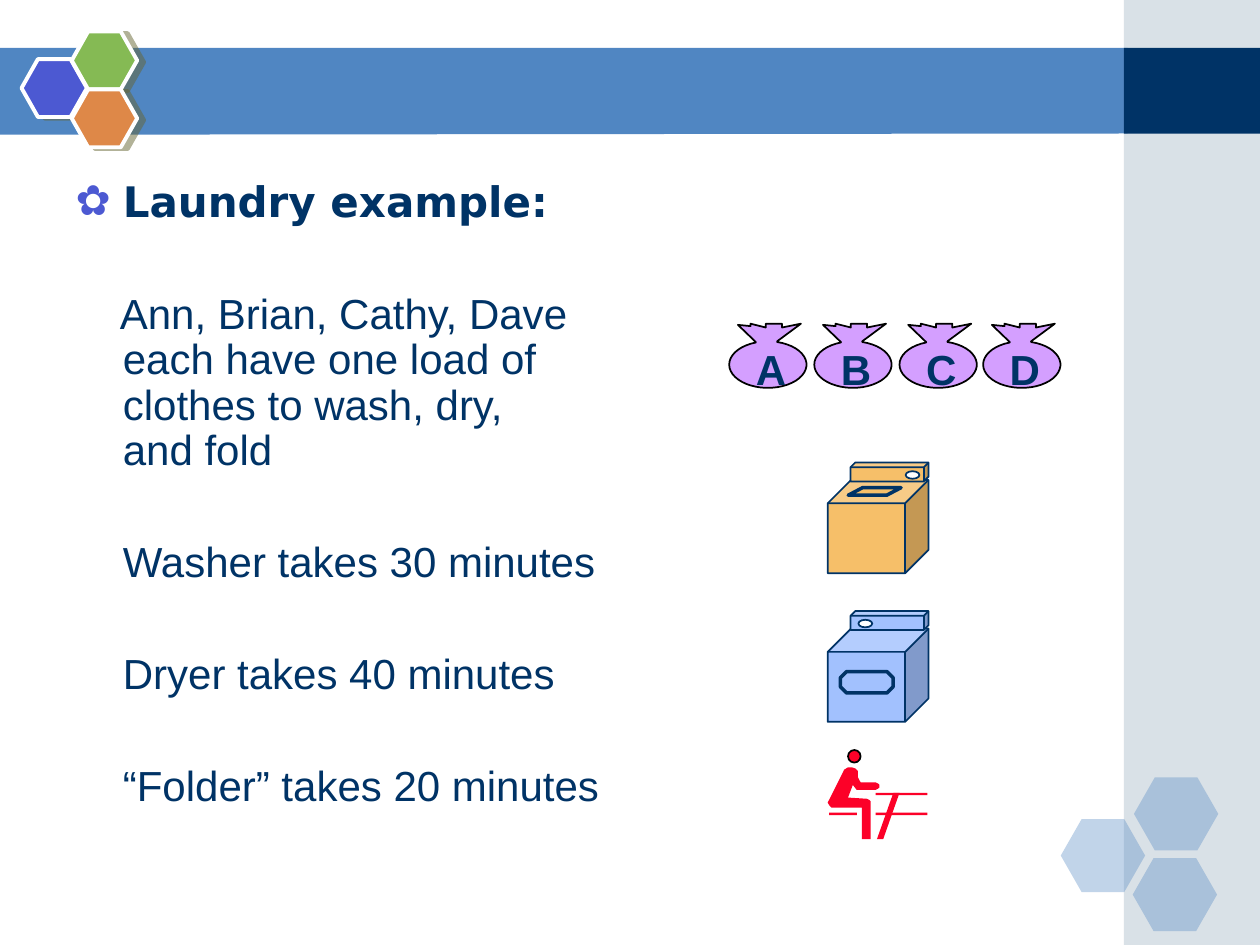
from math import cos, radians, sin

from lxml.etree import SubElement
from pptx import Presentation
from pptx.dml.color import RGBColor
from pptx.enum.shapes import MSO_SHAPE as Preset
from pptx.enum.text import MSO_ANCHOR as Anchor, MSO_AUTO_SIZE as AutoSize, PP_ALIGN as Align
from pptx.oxml.ns import qn
from pptx.util import Pt

NAVY, BLUE, RED, LILAC, BLACK, WHITE = "003366", "5086C2", "FC0128", "D49FFF", "000000", "FFFFFF"


def color(value):
    return RGBColor.from_string(value)


class LaundrySlide:
    """Holds the text style and draws each kind of element on one slide."""

    font, size, ink = "Arial", 24, NAVY

    def __init__(self, deck):
        self.slide = deck.slides.add_slide(deck.slide_layouts[1])
        title = self.slide.shapes.title.element
        title.getparent().remove(title)

    def paint(self, shape, fill, line=None, width=1, alpha=None):
        shape.shadow.inherit = False
        shape.fill.solid()
        shape.fill.fore_color.rgb = color(fill)
        if alpha:
            tint = shape.element.spPr.find(qn("a:solidFill"))[0]
            SubElement(tint, qn("a:alpha"), val=str(alpha * 1000))
        if line:
            shape.line.color.rgb = color(line)
            shape.line.width = Pt(width)
        else:
            shape.line.fill.background()
        return shape

    def preset(self, kind, box, fill, line=None, width=1, alpha=None, adjust=None):
        shape = self.slide.shapes.add_shape(kind, *map(Pt, box))
        if adjust is not None:
            shape.adjustments[0] = adjust
        return self.paint(shape, fill, line, width, alpha)

    def outline(self, points, fill, line=None):
        corners = [(Pt(x), Pt(y)) for x, y in points]
        builder = self.slide.shapes.build_freeform(*corners[0], scale=1.0)
        builder.add_line_segments(corners[1:], close=True)
        return self.paint(builder.convert_to_shape(), fill, line)

    def cast_shadow(self, shape):
        effects = shape.element.spPr.find(qn("a:effectLst"))
        shadow = SubElement(effects, qn("a:outerShdw"), blurRad="0", dist=str(Pt(4.1)),
                            dir=str(14 * 60000), algn="ctr", rotWithShape="0")
        tint = SubElement(shadow, qn("a:srgbClr"), val="666633")
        SubElement(tint, qn("a:alpha"), val="50000")

    def run(self, paragraph, text, font=None, bold=False):
        run = paragraph.add_run()
        run.text = text
        run.font.name = font or self.font
        run.font.size = Pt(self.size)
        run.font.bold = bold
        run.font.color.rgb = color(self.ink)

    def letter(self, text, box):
        label = self.slide.shapes.add_textbox(*map(Pt, box)).text_frame
        label.word_wrap = False
        label.paragraphs[0].alignment = Align.CENTER
        self.run(label.paragraphs[0], text, bold=True)

    def body(self, box, heading, statements):
        holder = self.slide.placeholders[1]
        holder.left, holder.top, holder.width, holder.height = map(Pt, box)
        frame = holder.text_frame
        frame.auto_size = AutoSize.NONE
        frame.vertical_anchor = Anchor.TOP
        first = frame.paragraphs[0]
        self.format(first, -27, 0, bullet="✿")
        self.run(first, heading, font="DejaVu Sans", bold=True)
        for lines, indent in statements:
            paragraph = frame.add_paragraph()
            self.format(paragraph, indent, 38)
            for number, line in enumerate(lines):
                if number:
                    paragraph.add_line_break()
                self.run(paragraph, line)

    def format(self, paragraph, indent, before, bullet=None):
        paragraph.line_spacing = 0.9
        paragraph.space_before = Pt(before)
        props = paragraph._p.get_or_add_pPr()
        props.set("marL", str(Pt(27)))
        props.set("indent", str(Pt(indent)))
        if bullet:
            SubElement(SubElement(props, qn("a:buClr")), qn("a:srgbClr"), val="4C59D2")
            SubElement(props, qn("a:buChar"), char=bullet)
        else:
            SubElement(props, qn("a:buNone"))
        paragraph.font.size = Pt(self.size)

    def bag(self, left, top, owner):
        mouth = [(27.4, 10.1), (41, 0), (30.2, 2.2), (30.2, 0), (20.9, 0), (20.9, 2.2),
                 (12.2, 0), (12.2, 1.4), (5, 0.7), (15.2, 10.5)]
        belly = [(22.1 + 22.1 * cos(radians(a)), 23.4 + 13.3 * sin(radians(a)))
                 for a in range(252, -77, -8)]
        self.outline([(left + x, top + y) for x, y in mouth + belly], LILAC, BLACK)
        self.letter(owner, (left + 8, top + 8, 31.7, 36.3))

    def machine(self, top, fill, dial_left, door, door_box, door_adjust):
        left = 473
        self.preset(Preset.CUBE, (left, top + 10, 57.6, 53.3), fill, NAVY, adjust=0.25)
        self.preset(Preset.CUBE, (left + 13, top, 44.6, 10.8), fill, NAVY, adjust=0.25)
        x, y, width, height = door_box
        self.preset(door, (left + x, top + y, width, height), fill, NAVY, 2, adjust=door_adjust)
        self.preset(Preset.OVAL, (left + dial_left, top + 5, 7.9, 4.3), WHITE, NAVY)

    def folder(self):
        self.outline([(510.5, 453), (514, 453), (504.7, 479.5), (501.1, 479.5)], RED)
        for left, top, width in [(500.4, 453, 29.5), (500.4, 464.4, 29.5), (473.8, 464.4, 15.8)]:
            self.preset(Preset.RECTANGLE, (left, top, width, 1.4), RED)
        self.preset(Preset.OVAL, (484.6, 428.6, 7.2, 7.2), RED, BLACK)
        self.outline([
            (481.7, 441.4), (473.8, 457.2), (473, 458.6), (473.8, 460.1), (475.2, 461.5),
            (492.5, 461.5), (492.5, 479.5), (497.5, 479.5), (497.5, 457.9), (496.8, 457.2),
            (495.4, 456.5), (484.6, 455.8), (487.4, 448.6), (489.6, 451.4), (500.4, 451.4),
            (501.8, 450.7), (502.6, 450), (502.6, 448.6), (501.8, 447.8), (500.4, 447.1),
            (491.8, 447.1), (490.3, 444.2), (490.3, 440.6), (488.9, 439.2), (486.7, 438.5),
            (484.6, 438.5), (482.4, 439.9)], RED)

    def backdrop(self):
        self.outline([(0, 27.4), (644.4, 27.4), (644.4, 76.3), (0, 77)], BLUE)
        self.preset(Preset.RECTANGLE, (642.2, 0, 77.8, 540), "A0B5C4", alpha=40)
        self.preset(Preset.RECTANGLE, (642.2, 27.4, 77.8, 49), NAVY)
        for left, top in [(606.2, 468), (648, 444.2), (647.3, 490.3)]:
            self.preset(Preset.HEXAGON, (left, top, 48.2, 41.8), BLUE, alpha=35, adjust=0.286)
        for left, top, fill in [(12.3, 33.8, "4C59D2"), (41, 18, "85BA54"), (41, 51.1, "DE8848")]:
            cell = self.preset(Preset.HEXAGON, (left, top, 37.4, 33.1), fill, WHITE, 2.25,
                               adjust=0.283)
            self.cast_shadow(cell)


def main():
    deck = Presentation()
    deck.slide_width, deck.slide_height = Pt(720), Pt(540)
    laundry = LaundrySlide(deck)
    laundry.backdrop()
    laundry.body((36, 100, 648, 398), "Laundry example:", [
        (["Ann, Brian, Cathy, Dave", "each have one load of", "clothes to wash, dry,", "and fold"], -1.7),
        (["Washer takes 30 minutes"], 0),
        (["Dryer takes 40 minutes"], 0),
        (["“Folder” takes 20 minutes"], 0),
    ])
    for owner, left in zip("ABCD", (416.7, 465.3, 514, 561.8)):
        laundry.bag(left, 185, owner)
    laundry.machine(264.3, "F6BF69", 44.5, Preset.PARALLELOGRAM, (11.7, 14.4, 30.2, 4.3), 1.905)
    laundry.machine(349.2, "A2C1FE", 17.5, Preset.OCTAGON, (7.2, 34.6, 30.2, 12.2), 0.293)
    laundry.folder()
    deck.save("out.pptx")


if __name__ == "__main__":
    main()
